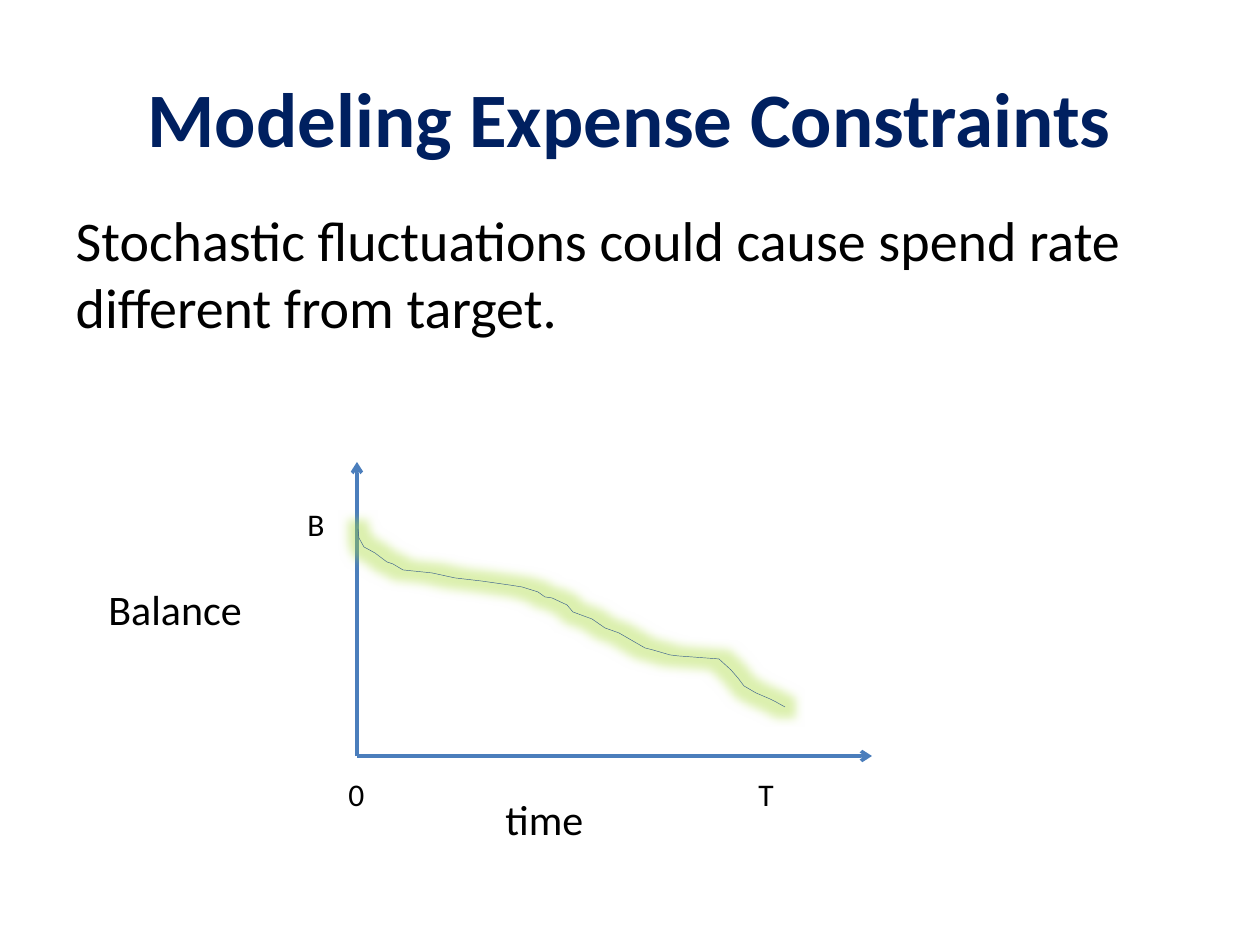
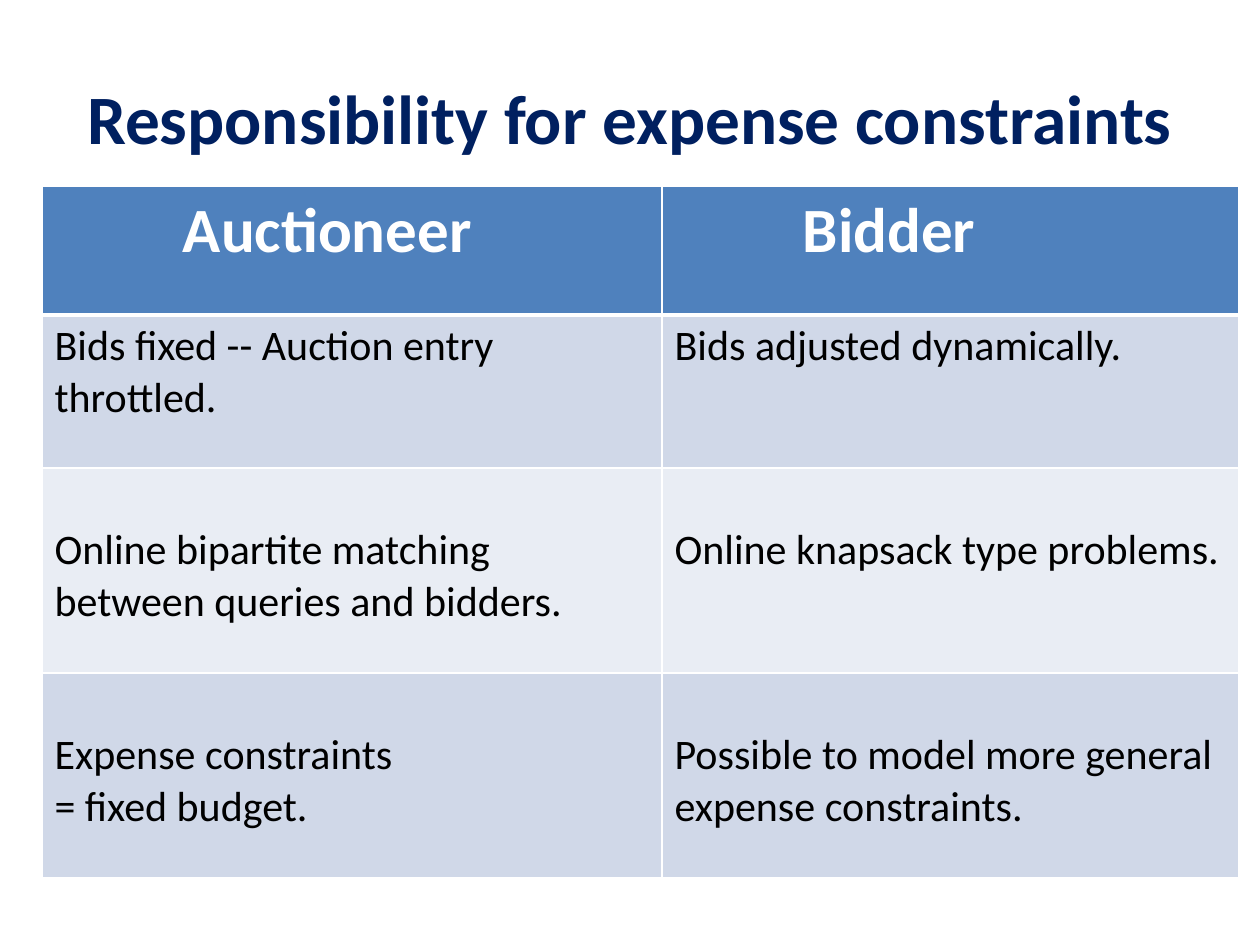
"""Build two slides on expense constraints: a balance curve and a comparison table."""
from lxml import etree
from pptx import Presentation, util as u
from pptx.dml import color
from pptx.enum import shapes, text
from pptx.oxml import ns

PX = 914400 / 126
FONT = "Calibri"
NAVY = color.RGBColor(0x00, 0x20, 0x60)
BLACK = color.RGBColor(0x00, 0x00, 0x00)
WHITE = color.RGBColor(0xFF, 0xFF, 0xFF)
AXIS_BLUE = color.RGBColor(0x4B, 0x7E, 0xBC)
CURVE_BLUE = color.RGBColor(0x3A, 0x5F, 0x8C)
GLOW_GREEN = color.RGBColor(0xA8, 0xDA, 0x37)
HEADER_BLUE = color.RGBColor(0x4F, 0x81, 0xBD)
BANDS = [color.RGBColor(0xD0, 0xD8, 0xE8), color.RGBColor(0xE9, 0xED, 0xF4)]

TITLE_BOX = (63, 38, 1134, 157)
BODY_BOX = (63, 199, 1134, 645)
STATEMENT = "Stochastic fluctuations could cause spend rate different from target."

ORIGIN = (357, 756)
AXIS_TIPS = [(357, 462), (872, 756)]
LABELS = [
    ("Balance", 24, (96, 577, 160, 63)),
    ("time", 24, (493, 787, 105, 63)),
    ("T", 18, (746, 769, 40, 50)),
    ("0", 18, (336, 769, 42, 50)),
    ("B", 18, (295, 499, 43, 50)),
]
BALANCE_CURVE = [
    (358, 529), (359, 538), (364, 547), (375, 553), (387, 562), (393, 564),
    (403, 570), (432, 573), (455, 578), (481, 581), (509, 585), (522, 587),
    (538, 592), (545, 597), (552, 598), (567, 605), (573, 612), (581, 615),
    (592, 619), (605, 628), (619, 633), (645, 648), (653, 650), (670, 655),
    (678, 656), (719, 659), (731, 670), (738, 678), (744, 686), (756, 693),
    (770, 699), (776, 702), (785, 707),
]

TABLE_CORNER = (42, 186)
COLUMN_WIDTHS = [620, 577]
ROW_HEIGHTS = [129, 153, 205, 205]
HEADERS = ["Auctioneer", "Bidder"]
COMPARISON = [
    (["Bids fixed -- Auction entry throttled."], ["Bids adjusted dynamically."]),
    (["Online bipartite matching between queries and bidders."],
     ["Online knapsack type problems."]),
    (["Expense constraints", "= fixed budget."],
     ["Possible to model more general expense constraints."]),
]
HEADER_INDENT = 141
CELL_TOP, LOWERED_TOP = 6, 57


def emu(*lengths):
    """Turn px lengths into EMU."""
    return [round(length * PX) for length in lengths]


def set_values(target, values):
    """Set attributes from a dict."""
    for name, value in values.items():
        setattr(target, name, value)


def write(frame, lines, size, ink=BLACK, bold=False, align=text.PP_ALIGN.LEFT):
    """Fill a text frame with one paragraph a line."""
    for index, line in enumerate(lines):
        paragraph = frame.add_paragraph() if index else frame.paragraphs[0]
        paragraph.alignment = align
        run = paragraph.add_run()
        run.text = line
        set_values(run.font, {"name": FONT, "size": u.Pt(size), "bold": bold})
        run.font.color.rgb = ink


def place(shape, box):
    """Move and size a shape."""
    set_values(shape, dict(zip(("left", "top", "width", "height"), emu(*box))))


def add_titled_slide(presentation, layout, title, size):
    """Add a slide with the shared title style."""
    slide = presentation.slides.add_slide(presentation.slide_layouts[layout])
    shape = slide.shapes.title
    place(shape, TITLE_BOX)
    set_values(shape.text_frame, {"auto_size": text.MSO_AUTO_SIZE.NONE,
                                  "vertical_anchor": text.MSO_ANCHOR.MIDDLE})
    write(shape.text_frame, [title], size, NAVY, True, text.PP_ALIGN.CENTER)
    return slide


def add_statement(slide):
    """Write the body text without a bullet."""
    body = slide.placeholders[1]
    place(body, BODY_BOX)
    body.text_frame.auto_size = text.MSO_AUTO_SIZE.NONE
    write(body.text_frame, [STATEMENT], 32)
    properties = body.text_frame.paragraphs[0]._p.get_or_add_pPr()
    properties.set("marL", "0")
    properties.set("indent", "0")
    etree.SubElement(properties, ns.qn("a:buNone"))


def add_axis(slide, tip):
    """Draw an arrow from the origin."""
    axis = slide.shapes.add_connector(shapes.MSO_CONNECTOR.STRAIGHT, *emu(*ORIGIN, *tip))
    axis.line.color.rgb = AXIS_BLUE
    axis.line.width = u.Pt(2)
    etree.SubElement(axis.line._get_or_add_ln(), ns.qn("a:tailEnd"), type="arrow")
    etree.SubElement(axis._element.spPr, ns.qn("a:effectLst"))


def add_label(slide, label, size, box):
    """Add an unwrapped chart label."""
    frame = slide.shapes.add_textbox(*emu(*box)).text_frame
    set_values(frame, {"word_wrap": False, "auto_size": text.MSO_AUTO_SIZE.SHAPE_TO_FIT_TEXT})
    write(frame, [label], size)


def add_balance_curve(slide):
    """Draw the falling balance with a soft glow."""
    builder = slide.shapes.build_freeform(*BALANCE_CURVE[0], scale=PX)
    builder.add_line_segments(BALANCE_CURVE[1:], close=False)
    curve = builder.convert_to_shape()
    curve.fill.background()
    curve.line.color.rgb = CURVE_BLUE
    curve.line.width = u.Pt(0.25)
    curve.shadow.inherit = False
    effects = curve._element.spPr.find(ns.qn("a:effectLst"))
    glow = etree.SubElement(effects, ns.qn("a:glow"), rad=str(u.Pt(11)))
    tint = etree.SubElement(glow, ns.qn("a:srgbClr"), val=str(GLOW_GREEN))
    etree.SubElement(tint, ns.qn("a:alpha"), val="40000")


def add_border(cell, side, points):
    """Draw a white border on one side of a cell."""
    line = etree.SubElement(cell._tc.get_or_add_tcPr(), ns.qn(f"a:ln{side}"),
                            w=str(u.Pt(points)))
    fill = etree.SubElement(line, ns.qn("a:solidFill"))
    etree.SubElement(fill, ns.qn("a:srgbClr"), val=str(WHITE))


def style_cell(cell, fill, is_header, under_header):
    """Set the borders and fill of a cell."""
    for side in "LRTB":
        thick = (is_header and side == "B") or (under_header and side == "T")
        add_border(cell, side, 3 if thick else 1)
    cell.fill.solid()
    cell.fill.fore_color.rgb = fill


def add_comparison(slide):
    """Add the auctioneer and bidder table."""
    box = emu(*TABLE_CORNER, sum(COLUMN_WIDTHS), sum(ROW_HEIGHTS))
    table = slide.shapes.add_table(len(ROW_HEIGHTS), len(COLUMN_WIDTHS), *box).table
    for column, width in zip(table.columns, emu(*COLUMN_WIDTHS)):
        column.width = width
    for row, height in zip(table.rows, emu(*ROW_HEIGHTS)):
        row.height = height
    for column, header in enumerate(HEADERS):
        cell = table.cell(0, column)
        style_cell(cell, HEADER_BLUE, True, False)
        cell.margin_left = emu(HEADER_INDENT)[0]
        write(cell.text_frame, [header], 36, WHITE, True)
    for row, entries in enumerate(COMPARISON, 1):
        for column, lines in enumerate(entries):
            cell = table.cell(row, column)
            style_cell(cell, BANDS[(row - 1) % 2], False, row == 1)
            cell.margin_top = emu(CELL_TOP if row == 1 else LOWERED_TOP)[0]
            write(cell.text_frame, lines, 24)


def main():
    """Build and save the slides."""
    presentation = Presentation()
    set_values(presentation, dict(zip(("slide_width", "slide_height"), emu(1260, 945))))
    slide = add_titled_slide(presentation, 1, "Modeling Expense Constraints", 44)
    add_statement(slide)
    for tip in AXIS_TIPS:
        add_axis(slide, tip)
    for label in LABELS:
        add_label(slide, *label)
    add_balance_curve(slide)
    slide = add_titled_slide(presentation, 5, "Responsibility for expense constraints", 39.6)
    add_comparison(slide)
    presentation.save("out.pptx")


if __name__ == "__main__":
    main()
